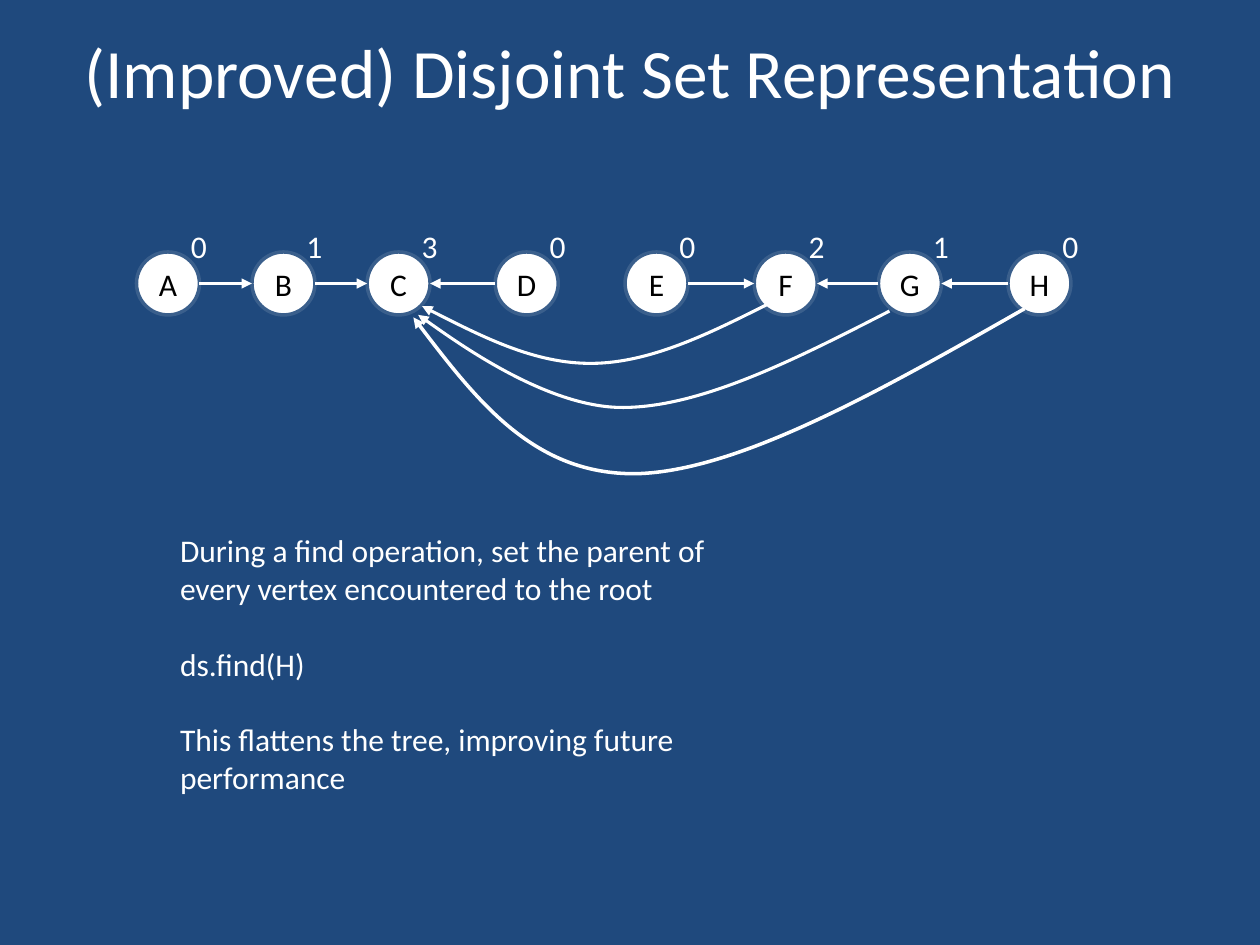
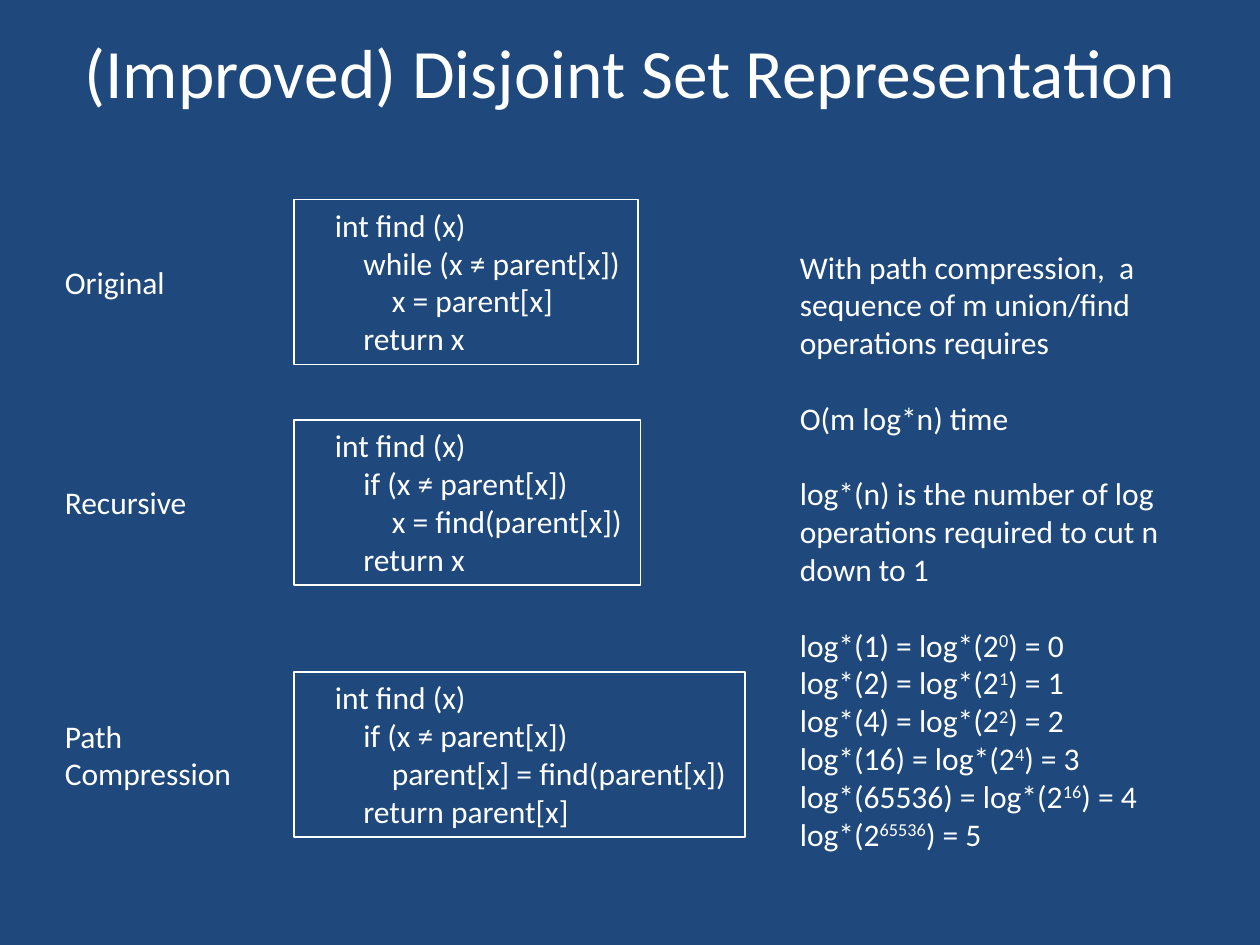
"""Build two slides on path compression in disjoint sets."""
from lxml.etree import SubElement
from pptx import Presentation
from pptx.dml.color import RGBColor
from pptx.enum.shapes import MSO_CONNECTOR as Connector, MSO_SHAPE as Shape
from pptx.enum.text import MSO_ANCHOR as Anchor, PP_ALIGN as Align
from pptx.oxml.ns import qn
from pptx.util import Pt

COLORS = {"back": "1F497D", "ink": "FFFFFF", "ring": "3A5F8C", "letter": "000000"}
TITLE = "(Improved) Disjoint Set Representation"
FONT, SIZE, LINE_HEIGHT, INDENT = "Calibri", 18, 21.6, 16.27


def color(name):
    return RGBColor.from_string(COLORS[name])


def apply(target, formats):
    for name, value in formats.items():
        setattr(target, name, value)


class Deck:
    def __init__(self):
        self.prs = Presentation()
        apply(self.prs, {"slide_width": Pt(720), "slide_height": Pt(540)})

    def new_slide(self):
        self.slide = self.prs.slides.add_slide(self.prs.slide_layouts[6])
        self.shapes = self.slide.shapes
        self.slide.background.fill.solid()
        self.slide.background.fill.fore_color.rgb = color("back")
        self.text(36, 12.2, 648, 56.2, [[TITLE]], size=39.6,
                  align=Align.CENTER, anchor=Anchor.MIDDLE, margin_right=Pt(7.2))

    def fill_text(self, holder, groups, size=SIZE, ink="ink", align=Align.LEFT, levels=(), **frame_formats):
        frame = holder.text_frame
        apply(frame, {"word_wrap": True, "margin_right": 0, "vertical_anchor": Anchor.TOP} | frame_formats)
        lines = [(line, group > 0 and place == 0)
                 for group, members in enumerate(groups) for place, line in enumerate(members)]
        for number, (line, opens_group) in enumerate(lines):
            paragraph = frame.add_paragraph() if number else frame.paragraphs[0]
            apply(paragraph, {"alignment": align, "space_before": Pt(LINE_HEIGHT if opens_group else 0)})
            if levels:
                paragraph._p.get_or_add_pPr().set("marL", str(Pt(INDENT * levels[number])))
            for part, words in enumerate(line.split("^")):
                run = paragraph.add_run()
                run.text = words
                apply(run.font, {"name": FONT, "size": Pt(size)})
                run.font.color.rgb = color(ink)
                if part % 2:
                    run.font._element.set("baseline", "30000")

    def text(self, left, top, width, height, groups, anchor=Anchor.TOP, **formats):
        box = self.shapes.add_textbox(Pt(left), Pt(top), Pt(width), Pt(height))
        self.fill_text(box, groups, vertical_anchor=anchor, **formats)

    def outline(self, shape, ink, width):
        shape.line.color.rgb = color(ink)
        shape.line.width = Pt(width)

    def arrowhead(self, shape):
        SubElement(shape._element.spPr.find(qn("a:ln")), qn("a:tailEnd"), type="triangle")

    def node(self, left, top, size, letter, rank):
        circle = self.shapes.add_shape(Shape.OVAL, Pt(left), Pt(top), Pt(size), Pt(size))
        circle.shadow.inherit = False
        circle.fill.solid()
        circle.fill.fore_color.rgb = color("ink")
        self.outline(circle, "ring", 2)
        self.fill_text(circle, [[letter]], ink="letter", align=Align.CENTER,
                       vertical_anchor=Anchor.MIDDLE, margin_left=0)
        self.text(left + 24, top - 18, 23.8, 28.8, [[rank]])

    def arrow(self, start, end, height):
        link = self.shapes.add_connector(Connector.STRAIGHT, Pt(start), Pt(height), Pt(end), Pt(height))
        self.outline(link, "ink", 1.75)
        self.arrowhead(link)
        SubElement(link._element.spPr, qn("a:effectLst"))

    def curve(self, points, width):
        start, *others = [(Pt(x), Pt(y)) for x, y in points]
        builder = self.shapes.build_freeform(*start)
        builder.add_line_segments(others, close=False)
        arc = builder.convert_to_shape()
        arc.shadow.inherit = False
        arc.fill.background()
        self.outline(arc, "ink", width)
        self.arrowhead(arc)
        route = arc._element.find(".//" + qn("a:path"))
        steps = route.findall(qn("a:lnTo"))
        for first in range(0, len(steps), 3):
            bezier = SubElement(route, qn("a:cubicBezTo"))
            for step in steps[first:first + 3]:
                bezier.append(step[0])
                route.remove(step)

    def code(self, left, top, width, height, lines):
        panel = self.shapes.add_shape(Shape.RECTANGLE, Pt(left), Pt(top), Pt(width), Pt(height))
        panel.shadow.inherit = False
        panel.fill.background()
        self.outline(panel, "ink", 0.75)
        self.fill_text(panel, [lines], levels=(1, 2, 3, 2))


deck = Deck()

deck.new_slide()
NODE_TOP, NODE_SIZE = 144, 36
lefts = dict(zip("ABCDEFGH", (78, 144, 209.8, 283, 357.2, 431, 502, 576)))
for (letter, left), rank in zip(lefts.items(), "01300210"):
    deck.node(left, NODE_TOP, NODE_SIZE, letter, rank)
for child, parent in ("AB", "BC", "DC", "EF", "GF", "HG"):
    rightward = lefts[child] < lefts[parent]
    deck.arrow(lefts[child] + NODE_SIZE * rightward,
               lefts[parent] + NODE_SIZE * (not rightward), NODE_TOP + NODE_SIZE / 2)
shortcuts = [
    (1.75, [(438, 174.2), (405, 190.8), (371.5, 207.4), (338.4, 207.7),
            (306, 208), (273.6, 191.5), (241.2, 175)]),
    (1.75, [(508.3, 177.8), (455, 205.2), (401, 232.6), (356.4, 232.9),
            (311.8, 233.3), (239, 180), (239, 180)]),
    (2, [(585.4, 176.4), (503.3, 223.2), (422, 269.3), (363.6, 270.7),
         (305.3, 271.4), (270.7, 226.8), (236.2, 181.4)]),
]
for width, points in shortcuts:
    deck.curve(points, width)
deck.text(95.8, 300, 324, 181.4, [
    ["During a find operation, set the parent of every vertex encountered to the root"],
    ["ds.find(H)"],
    ["This flattens the tree, improving future performance"]])

deck.new_slide()
CODE_HEIGHT = 94.3
variants = [
    (["Original"], 114, 196.6, "while (x ≠ parent[x])", "x = parent[x]", "return x"),
    (["Recursive"], 240, 198, "if (x ≠ parent[x])", "x = find(parent[x])", "return x"),
    (["Path", "Compression"], 384, 257.8, "if (x ≠ parent[x])",
     "parent[x] = find(parent[x])", "return parent[x]"),
]
for label, top, width, *body in variants:
    deck.code(168, top, width, CODE_HEIGHT, ["int find (x)", *body])
    label_height = len(label) * LINE_HEIGHT + 7.2
    deck.text(30, top + (CODE_HEIGHT - label_height) / 2, 111, label_height, [label])
powers = [(1, 0, 0), (2, 1, 1), (4, 2, 2), (16, 4, 3), (65536, 16, 4)]
deck.text(450, 138, 222, 356.4, [
    ["With path compression,  a", "sequence of m union/find", "operations requires"],
    ["O(m log*n) time"],
    ["log*(n) is the number of log", "operations required to cut n", "down to 1"],
    [f"log*({n}) = log*(2^{exponent}^) = {result}" for n, exponent, result in powers]
    + ["log*(2^65536^) = 5"]])

deck.prs.save("out.pptx")
